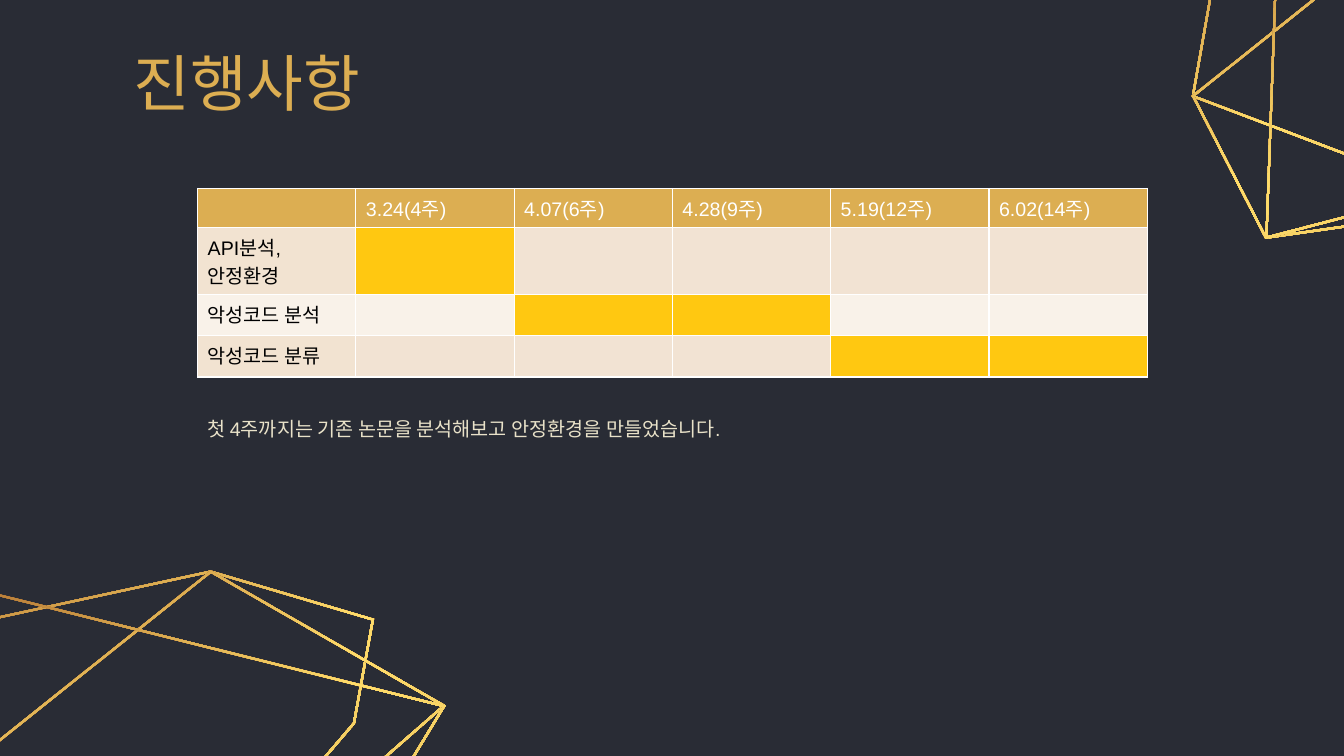
"""Build the project progress slide with its schedule table."""
import math
from dataclasses import dataclass

from lxml import etree
from pptx import Presentation
from pptx.dml.color import RGBColor
from pptx.enum.text import MSO_ANCHOR, PP_ALIGN
from pptx.oxml.ns import qn
from pptx.util import Inches, Pt

CENTER, LEFT = PP_ALIGN.CENTER, PP_ALIGN.LEFT
MIDDLE = MSO_ANCHOR.MIDDLE
TITLE_ONLY = 5

BACKGROUND, GOLD, DONE = "292C35", "DCAE52", "FFC811"
WHITE, BLACK, CREAM = "FFFFFF", "000000", "E9E2C9"
WIRE_STOPS = ((0, "AF7132"), (50, "FFDD6B"), (100, GOLD))
WIRE_ANGLE = 58.6
WIRE_WIDTH = 0.02

Point = tuple[float, float]

WIRE_OUTLINES: list[list[Point]] = [
    [(-1.43, 8.48), (-1.05, 6.34), (2.09, 5.66), (3.71, 6.14), (3.52, 7.18), (1.47, 9.58)],
    [(-0.7, 9.89), (-1.43, 8.47), (2.09, 5.66), (4.42, 7), (1.47, 9.58)],
    [(-0.7, 9.89), (-0.55, 5.76), (4.42, 7), (3.3, 8.85)],
]
CLUSTER_OFFSETS: list[Point] = [(0, 0), (13.25, -7.52)]


@dataclass(frozen=True)
class Task:
    name: str
    active_weeks: tuple[int, ...]
    name_fill: str
    week_fill: str


WEEKS = ["3.24(4주)", "4.07(6주)", "4.28(9주)", "5.19(12주)", "6.02(14주)"]
TASKS = [
    Task("API분석, 안정환경", (1,), "F2E3D1", "F2E3D3"),
    Task("악성코드 분석", (2, 3), "F9F2E9", "F9F2E9"),
    Task("악성코드 분류", (4, 5), "F2E3D1", "F2E3D3"),
]


def rgb(value: str) -> RGBColor:
    """Turn a hex string into a colour."""
    return RGBColor.from_string(value)


def style_paragraph(paragraph, size: float, face: str, color: str, align=LEFT) -> None:
    """Format all text of a paragraph."""
    paragraph.alignment = align
    paragraph.font.size = Pt(size)
    paragraph.font.name = face
    paragraph.font.color.rgb = rgb(color)


def inset(outline: list[Point], distance: float) -> list[Point]:
    """Move every edge of a clockwise outline inwards."""
    inner = []
    for index, (x, y) in enumerate(outline):
        before = outline[index - 1]
        after = outline[(index + 1) % len(outline)]
        angle_in = math.atan2(y - before[1], x - before[0])
        angle_out = math.atan2(after[1] - y, after[0] - x)
        half_turn = math.remainder(angle_out - angle_in, math.tau) / 2
        bisector = angle_in + half_turn + math.pi / 2
        reach = distance / math.cos(half_turn)
        inner.append((x + reach * math.cos(bisector), y + reach * math.sin(bisector)))
    return inner


def to_lengths(points: list[Point]) -> list[tuple[int, int]]:
    """Convert points in inches to slide lengths."""
    return [(Inches(x), Inches(y)) for x, y in points]


def fill_gradient(shape) -> None:
    """Give a wire its three-colour gradient."""
    shape.fill.gradient()
    gradient = shape._element.spPr.find(qn("a:gradFill"))
    for child in list(gradient):
        gradient.remove(child)
    stops = etree.SubElement(gradient, qn("a:gsLst"))
    for position, color in WIRE_STOPS:
        stop = etree.SubElement(stops, qn("a:gs"), pos=str(position * 1000))
        etree.SubElement(stop, qn("a:srgbClr"), val=color)
    etree.SubElement(gradient, qn("a:lin"), ang=str(round(WIRE_ANGLE * 60000)), scaled="0")


def draw_wire(slide, outline: list[Point], offset: Point) -> None:
    """Draw a thin closed band along an outline."""
    moved = [(x + offset[0], y + offset[1]) for x, y in outline]
    outer = to_lengths(moved)
    inner = to_lengths(inset(moved, WIRE_WIDTH)[::-1])
    builder = slide.shapes.build_freeform(*outer[0])
    builder.add_line_segments(outer[1:])
    builder.move_to(*inner[0])
    builder.add_line_segments(inner[1:])
    wire = builder.convert_to_shape()
    wire.shadow.inherit = False
    wire.line.fill.background()
    fill_gradient(wire)


def set_borders(cell) -> None:
    """Draw white borders around a cell."""
    properties = cell._tc.get_or_add_tcPr()
    for index, side in enumerate("LRTB"):
        border = etree.Element(qn(f"a:ln{side}"), w=str(Pt(1)))
        solid = etree.SubElement(border, qn("a:solidFill"))
        etree.SubElement(solid, qn("a:srgbClr"), val=WHITE)
        properties.insert(index, border)


def fill_cell(cell, text: str, fill: str, color: str) -> None:
    """Write and format a table cell."""
    cell.text = text
    style_paragraph(cell.text_frame.paragraphs[0], 14, "Arial", color)
    cell.fill.solid()
    cell.fill.fore_color.rgb = rgb(fill)
    set_borders(cell)


def add_schedule(slide) -> None:
    """Add the table of tasks by week."""
    schedule = slide.shapes.add_table(
        len(TASKS) + 1, len(WEEKS) + 1, Inches(1.96), Inches(1.87), Inches(9.42), Inches(1.55)
    ).table
    for column in schedule.columns:
        column.width = Inches(1.57)
    for index, row in enumerate(schedule.rows):
        row.height = Inches(0.41 if index else 0.32)
    for column, week in enumerate(["", *WEEKS]):
        fill_cell(schedule.cell(0, column), week, GOLD, WHITE)
    for row, task in enumerate(TASKS, start=1):
        fill_cell(schedule.cell(row, 0), task.name, task.name_fill, BLACK)
        for week in range(1, len(WEEKS) + 1):
            fill = DONE if week in task.active_weeks else task.week_fill
            fill_cell(schedule.cell(row, week), "", fill, BLACK)


def add_title(slide) -> None:
    """Place and format the slide title."""
    title = slide.shapes.title
    title.left, title.top = Inches(0.07), Inches(0.47)
    title.width, title.height = Inches(4.76), Inches(0.68)
    frame = title.text_frame
    frame.text = "진행사항"
    frame.vertical_anchor = MIDDLE
    frame.margin_left = frame.margin_right = Inches(0.1)
    frame.margin_top = frame.margin_bottom = Inches(0.1)
    style_paragraph(frame.paragraphs[0], 44, "Roboto", GOLD, CENTER)


def add_summary(slide) -> None:
    """Add the sentence under the table."""
    summary = slide.shapes.add_textbox(Inches(1.96), Inches(4.09), Inches(6.87), Inches(0.34))
    frame = summary.text_frame
    frame.word_wrap = True
    frame.text = "첫 4주까지는 기존 논문을 분석해보고 안정환경을 만들었습니다."
    style_paragraph(frame.paragraphs[0], 14, "Arial", CREAM)


def main() -> None:
    """Build and save the presentation."""
    deck = Presentation()
    deck.slide_width, deck.slide_height = Inches(13.33), Inches(7.5)
    slide = deck.slides.add_slide(deck.slide_layouts[TITLE_ONLY])
    slide.background.fill.solid()
    slide.background.fill.fore_color.rgb = rgb(BACKGROUND)
    for offset in CLUSTER_OFFSETS:
        for outline in WIRE_OUTLINES:
            draw_wire(slide, outline, offset)
    add_title(slide)
    add_schedule(slide)
    add_summary(slide)
    deck.save("out.pptx")


if __name__ == "__main__":
    main()
